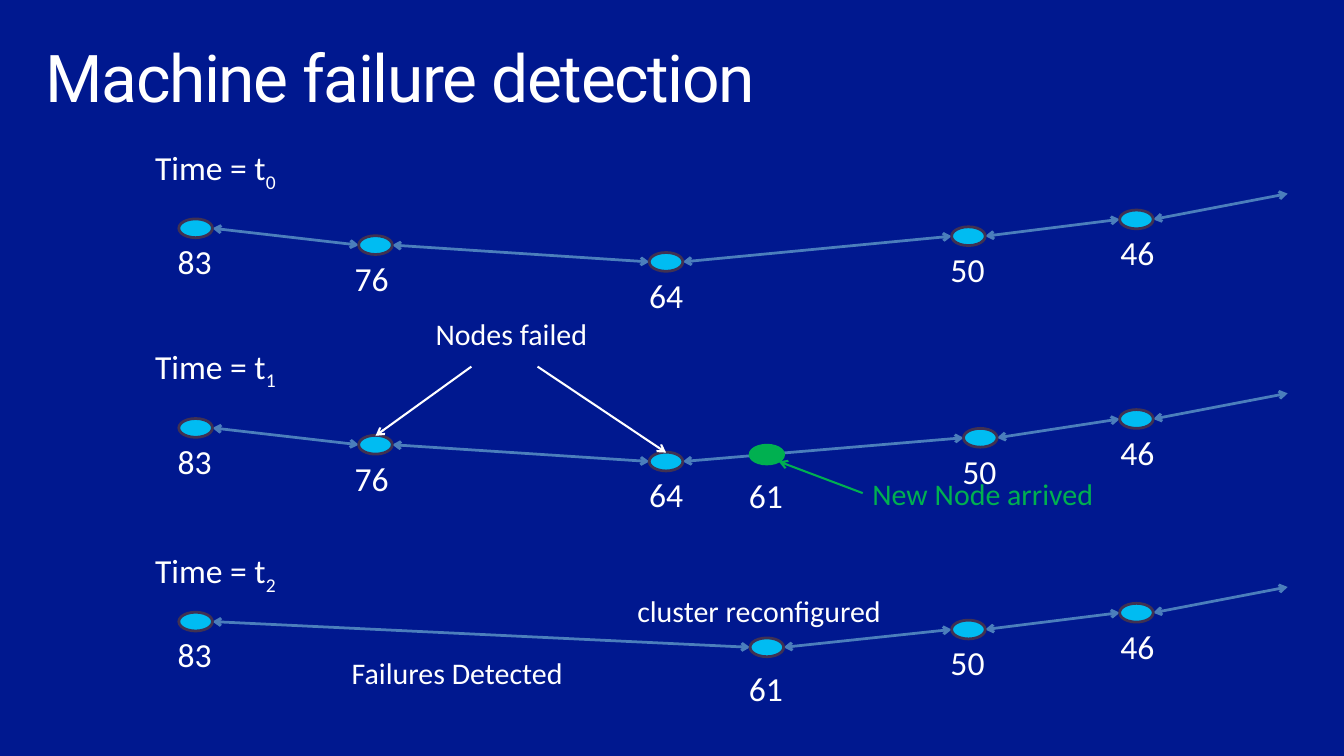
from itertools import pairwise

from lxml.etree import SubElement
from pptx import Presentation
from pptx.dml.color import RGBColor as Rgb
from pptx.enum.shapes import MSO_CONNECTOR as Conn, MSO_SHAPE as Form
from pptx.enum.text import MSO_ANCHOR as Anchor, MSO_AUTO_SIZE as Fit
from pptx.oxml.ns import qn
from pptx.util import Inches, Pt

HUES = {"back": "00188F", "white": "FFFFFF", "node": "00BCF2",
        "rim": "403152", "link": "4B7EBC", "new": "00B050"}
WIDE, HIGH = 0.34, 0.19
END = (13.03, -0.35)
SPOTS = {"83": (1.98, 0), "76": (3.8, 0.17), "64": (6.74, 0.34),
         "61": (7.76, 0.26), "50": (9.8, 0.08), "46": (11.5, -0.09)}
TAGS = {"83": (0.28, 0.68), "76": (0.31, 0.7), "64": (0.27, 0.78),
        "61": (0.28, 0.78), "50": (0.28, 0.74), "46": (0.26, 0.77)}
ROWS = [("0", 1.44, 2.31, ["83", "76", "64", "50", "46"], {}),
        ("1", 3.45, 4.33, ["83", "76", "64", "50", "46"], {"50": (9.92, 0.1)}),
        ("2", 5.52, 6.29, ["83", "61", "50", "46"], {})]


class Board:
    """Draws styled elements on one slide."""

    def __init__(self, deck):
        self.slide = deck.slides.add_slide(deck.slide_layouts[5])
        self.shapes = self.slide.shapes
        fill = self.slide.background.fill
        fill.solid()
        fill.fore_color.rgb = self.hue("back")

    def hue(self, name):
        return Rgb.from_string(HUES[name])

    def run(self, para, text, size, hue="white", face="Calibri"):
        run = para.add_run()
        run.text = text
        run.font.size = Pt(size)
        run.font.name = face
        run.font.color.rgb = self.hue(hue)
        return run

    def title(self, text):
        box = self.shapes.title
        box.left, box.top, box.width, box.height = map(Inches, (0.3, 0.32, 13, 1))
        frame = box.text_frame
        frame.vertical_anchor = Anchor.MIDDLE
        frame.margin_left = frame.margin_right = Inches(0.16)
        frame.margin_top = frame.margin_bottom = Inches(0.1)
        para = frame.paragraphs[0]
        para.alignment = 1
        para.line_spacing = 0.9
        run = self.run(para, text, 48, face="Roboto")
        run.font._element.set("spc", "-100")

    def text(self, left, top, wide, text, size=24.5, hue="white", sub="", wrap=True):
        high = 0.51 if size > 24 else 0.47
        box = self.shapes.add_textbox(*map(Inches, (left, top, wide, high)))
        frame = box.text_frame
        frame.word_wrap = wrap
        frame.auto_size = Fit.SHAPE_TO_FIT_TEXT
        para = frame.paragraphs[0]
        self.run(para, text, size, hue)
        if sub:
            run = self.run(para, sub, size, hue)
            run.font._element.set("baseline", "-25000")

    def note(self, left, top, wide, text, hue="white", wrap=False):
        self.text(left, top, wide, text, 21.8, hue, wrap=wrap)

    def node(self, x, y, fill="node", rim="rim"):
        spot = (x - WIDE / 2, y - HIGH / 2, WIDE, HIGH)
        dot = self.shapes.add_shape(Form.OVAL, *map(Inches, spot))
        dot.shadow.inherit = False
        dot.fill.solid()
        dot.fill.fore_color.rgb = self.hue(fill)
        dot.line.color.rgb = self.hue(rim)
        dot.line.width = Pt(2)

    def arrow(self, start, stop, hue="white", width=1.5, ends=("tailEnd",)):
        line = self.shapes.add_connector(Conn.STRAIGHT, *map(Inches, start + stop))
        line.line.color.rgb = self.hue(hue)
        line.line.width = Pt(width)
        for end in ends:
            SubElement(line.line._get_or_add_ln(), qn("a:" + end), type="arrow")
        SubElement(line._element.spPr, qn("a:effectLst"))

    def label(self, name, x, y, drop=0.08):
        shift, wide = TAGS[name]
        self.text(x - shift, y + drop, wide, name)

    def chain(self, base, names, moved):
        spots = SPOTS | moved
        marks = [(x, base + dy) for x, dy in (spots[name] for name in names)]
        for (x1, y1), (x2, y2) in pairwise(marks):
            self.arrow((x1 + WIDE / 2, y1), (x2 - WIDE / 2, y2),
                       "link", 2, ("headEnd", "tailEnd"))
        x, y = marks[-1]
        self.arrow((x + WIDE / 2, y), (END[0], base + END[1]),
                   "link", 2, ("headEnd", "tailEnd"))
        for name, (x, y) in zip(names, marks):
            self.node(x, y)
            self.label(name, x, y, 0.16 if name == "61" else 0.08)


deck = Presentation()
deck.slide_width, deck.slide_height = Inches(13.6), Inches(7.65)
board = Board(deck)
board.title("Machine failure detection")

for step, top, base, names, moved in ROWS:
    board.text(1.47, top, 1.59, "Time = t", sub=step)
    board.chain(base, names, moved)

board.note(4.31, 3.14, 1.75, "Nodes failed")
board.arrow((4.77, 3.71), (3.8, 4.41))
board.arrow((5.44, 3.71), (6.74, 4.58))

board.node(7.76, 4.6, "new", "new")
board.label("61", 7.76, 4.6, 0.16)
board.note(8.73, 4.76, 2.45, "New Node arrived", "new")
board.arrow((8.73, 4.99), (7.88, 4.67), "new")

board.note(3.46, 6.57, 2.49, "Failures Detected", wrap=True)
board.note(6.35, 5.95, 2.71, "cluster reconfigured")

deck.save("out.pptx")
